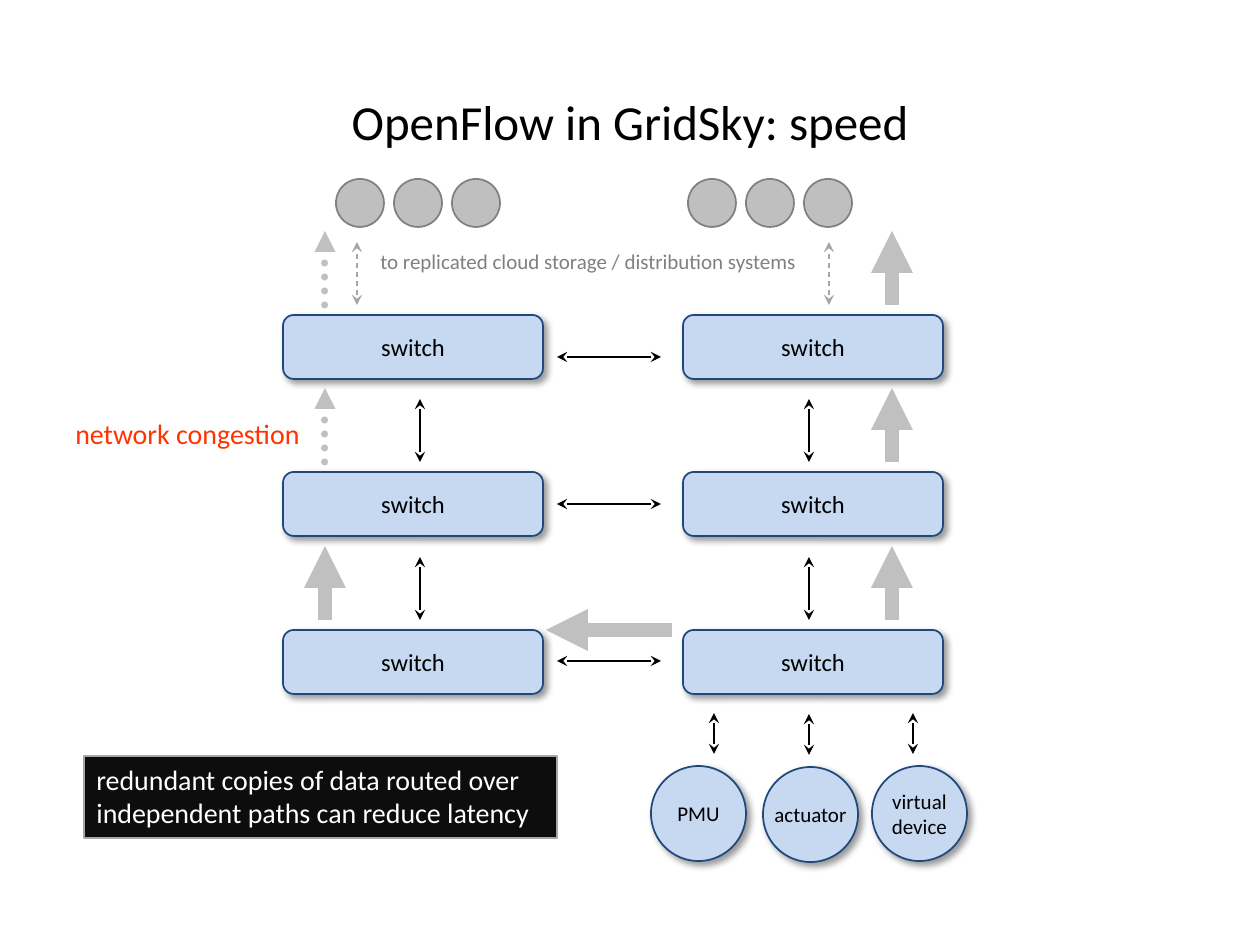
from lxml import etree
from pptx import Presentation
from pptx.dml.color import RGBColor
from pptx.enum.dml import MSO_LINE
from pptx.enum.shapes import MSO_CONNECTOR, MSO_SHAPE
from pptx.enum.text import MSO_ANCHOR, MSO_AUTO_SIZE, PP_ALIGN
from pptx.oxml import parse_xml
from pptx.oxml.ns import nsdecls, qn
from pptx.util import Emu, Pt

STRAIGHT = MSO_CONNECTOR.STRAIGHT
OVAL, RECT, ROUNDED = MSO_SHAPE.OVAL, MSO_SHAPE.RECTANGLE, MSO_SHAPE.ROUNDED_RECTANGLE
LEFT, CENTER = PP_ALIGN.LEFT, PP_ALIGN.CENTER
MIDDLE, TOP = MSO_ANCHOR.MIDDLE, MSO_ANCHOR.TOP
FIT_SHAPE, NO_FIT = MSO_AUTO_SIZE.SHAPE_TO_FIT_TEXT, MSO_AUTO_SIZE.NONE
DASH, DOT = MSO_LINE.DASH, MSO_LINE.ROUND_DOT

SCALE = 914400 / 126
BLACK, WHITE, ALERT = "000000", "FFFFFF", "FF3300"
PALE_BLUE, NAVY = "C6D9F1", "1F497D"
LIGHT_GRAY, MID_GRAY, DARK_GRAY, ROUTE_GRAY = "BFBFBF", "A6A6A6", "808080", "C0C0C0"


def px(value):
    return Emu(round(value * SCALE))


def color(value):
    return RGBColor.from_string(value)


class Diagram:
    font = "Calibri"

    def __init__(self, presentation):
        self.slide = presentation.slides.add_slide(presentation.slide_layouts[5])

    def set_text(self, frame, text, size, ink, align=CENTER, anchor=MIDDLE, wrap=True, fit=NO_FIT):
        frame.text = text
        frame.word_wrap = wrap
        frame.auto_size = fit
        frame.vertical_anchor = anchor
        for paragraph in frame.paragraphs:
            paragraph.alignment = align
            paragraph.font.name = self.font
            paragraph.font.size = Pt(size)
            paragraph.font.color.rgb = color(ink)

    def title(self, text, x, y, w, h):
        heading = self.slide.shapes.title
        heading.left, heading.top, heading.width, heading.height = map(px, (x, y, w, h))
        self.set_text(heading.text_frame, text, 28, BLACK)

    def label(self, text, x, y, w, h, size, ink):
        box = self.slide.shapes.add_textbox(*map(px, (x, y, w, h)))
        self.set_text(box.text_frame, text, size, ink, LEFT, TOP, False, FIT_SHAPE)

    def shape(self, kind, x, y, w, h, fill, edge, width=1):
        body = self.slide.shapes.add_shape(kind, *map(px, (x, y, w, h)))
        body.shadow.inherit = False
        body.fill.solid()
        body.fill.fore_color.rgb = color(fill)
        body.line.color.rgb = color(edge)
        body.line.width = Pt(width)
        return body

    def node(self, kind, text, x, y, w, h, size, wrap=True):
        body = self.shape(kind, x, y, w, h, PALE_BLUE, NAVY)
        effects = body._element.spPr.find(qn("a:effectLst"))
        effects.append(parse_xml(
            f'<a:outerShdw {nsdecls("a")} blurRad="{Pt(4)}" dist="{Pt(3)}" dir="2700000" '
            f'algn="tl" rotWithShape="0"><a:srgbClr val="{BLACK}"><a:alpha val="40000"/>'
            '</a:srgbClr></a:outerShdw>'))
        self.set_text(body.text_frame, text, size, BLACK, wrap=wrap)

    def callout(self, text, x, y, w, h):
        body = self.shape(RECT, x, y, w, h, "0D0D0D", MID_GRAY, 0.75)
        self.set_text(body.text_frame, text, 16, WHITE, LEFT, TOP, fit=FIT_SHAPE)

    def arrow(self, x1, y1, x2, y2, ink, width, ends, dash=None):
        link = self.slide.shapes.add_connector(STRAIGHT, *map(px, (x1, y1, x2, y2)))
        link.line.color.rgb = color(ink)
        link.line.width = Pt(width)
        if dash is not None:
            link.line.dash_style = dash
        outline = link._element.spPr.find(qn("a:ln"))
        if dash == DOT:
            outline.set("cap", "rnd")
        for end, head in ends.items():
            etree.SubElement(outline, qn(f"a:{end}"), type=head)
        etree.SubElement(link._element.spPr, qn("a:effectLst"))

    def link(self, x1, y1, x2, y2, ink=BLACK, dash=None):
        self.arrow(x1, y1, x2, y2, ink, 0.75, {"headEnd": "stealth", "tailEnd": "stealth"}, dash)

    def route(self, x1, y1, x2, y2, congested=False):
        width, dash = (4, DOT) if congested else (8, None)
        self.arrow(x1, y1, x2, y2, ROUTE_GRAY, width, {"tailEnd": "triangle"}, dash)


presentation = Presentation()
presentation.slide_width, presentation.slide_height = px(1260), px(945)
diagram = Diagram(presentation)
diagram.title("OpenFlow in GridSky: speed", 63, 42, 1134, 157)

diagram.route(672, 630, 546, 630)

switch_tops = (315, 472, 630)
columns = (
    {"switch": 283, "link": 420, "cloud_link": 357, "route": 325, "cloud": 336},
    {"switch": 683, "link": 809, "cloud_link": 829, "route": 892, "cloud": 688},
)
for side, column in enumerate(columns):
    for i in range(3):
        diagram.shape(OVAL, column["cloud"] + 58 * i, 179, 48, 48, LIGHT_GRAY, DARK_GRAY)
    for row, top in enumerate(switch_tops):
        diagram.node(ROUNDED, "switch", column["switch"], top, 260, 64, 14)
        if row == 0:
            diagram.link(column["cloud_link"], top - 10, column["cloud_link"], top - 73, MID_GRAY, DASH)
        else:
            diagram.link(column["link"], top - 10, column["link"], top - 73)
        diagram.route(column["route"], top - 10, column["route"], top - 84, side == 0 and row < 2)

for y in (357, 504, 661):
    diagram.link(557, y, 661, y)

for device, x, y, link_x in (
    ("PMU", 651, 766, 714),
    ("actuator", 763, 767, 809),
    ("virtual\vdevice", 872, 766, 913),
):
    diagram.node(OVAL, device, x, y, 95, 95, 12, wrap=False)
    diagram.link(link_x, y - 12, link_x, y - 53)

diagram.label("to replicated cloud storage / distribution systems", 368, 242, 445, 38, 12, DARK_GRAY)
diagram.label("network congestion", 63, 410, 252, 47, 16, ALERT)
diagram.callout("redundant copies of data routed over\vindependent paths can reduce latency", 84, 756, 473, 82)

presentation.save("out.pptx")
